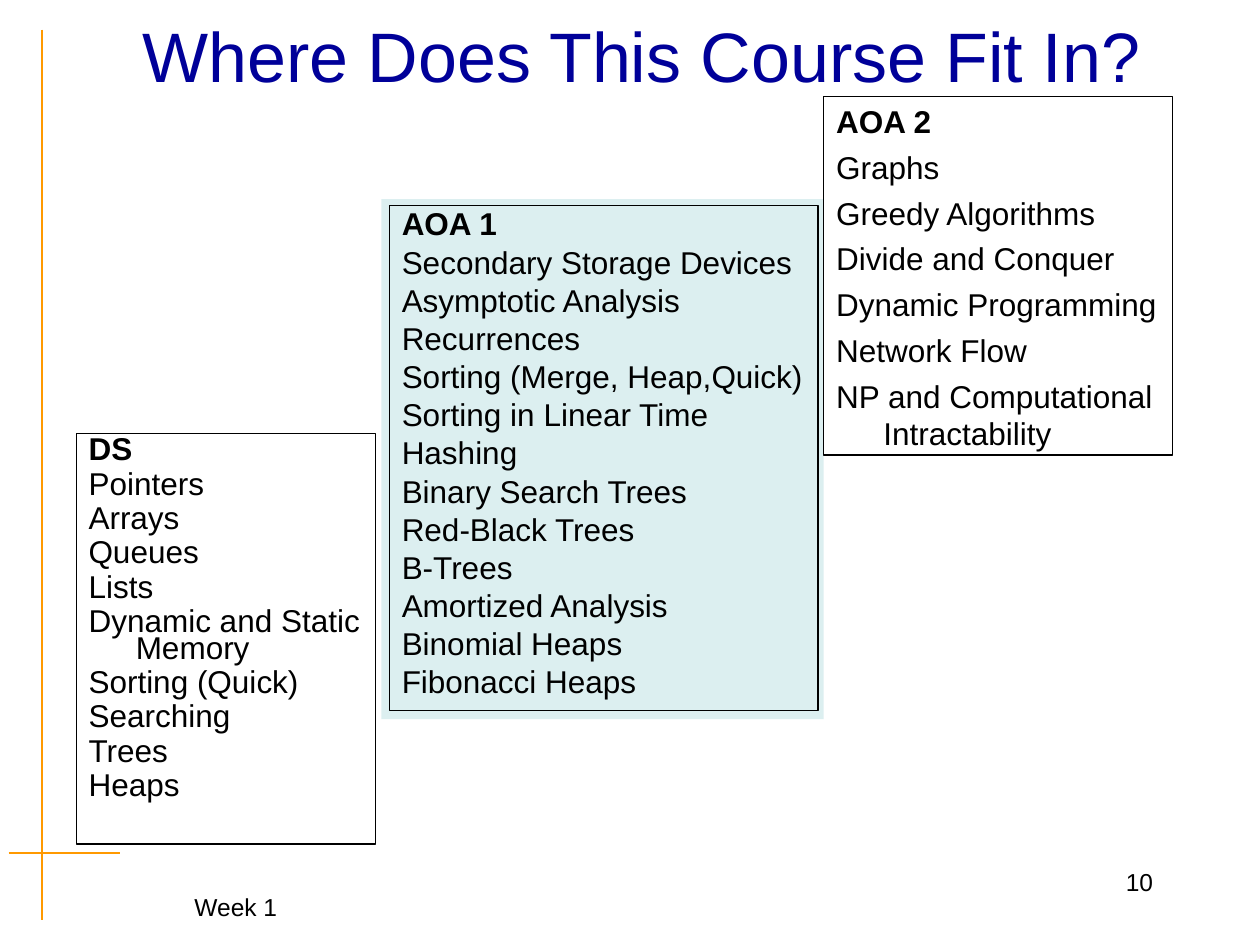
import pptx
import pptx.util
import pptx.dml.color
import pptx.enum.shapes
import pptx.enum.text
import pptx.oxml.ns
import lxml.etree

Pt = pptx.util.Pt
ALIGN = pptx.enum.text.PP_ALIGN
RECTANGLE = pptx.enum.shapes.MSO_SHAPE.RECTANGLE


def color(value):
    return pptx.dml.color.RGBColor.from_string(value)


def style(paragraph, size, value="000000", bold=False):
    paragraph.font.name = "Arial"
    paragraph.font.size = Pt(size)
    paragraph.font.bold = bold
    paragraph.font.color.rgb = color(value)


deck = pptx.Presentation()
deck.slide_width = Pt(720)
deck.slide_height = Pt(540)
slide = deck.slides.add_slide(deck.slide_layouts[5])

for x1, y1, x2, y2 in [(24, 17, 24, 525.5), (5, 487.5, 68.5, 487.5)]:
    rule = slide.shapes.add_connector(
        pptx.enum.shapes.MSO_CONNECTOR.STRAIGHT, Pt(x1), Pt(y1), Pt(x2), Pt(y2))
    rule.line.color.rgb = color("FF9900")
    rule.line.width = Pt(1.19)
    lxml.etree.SubElement(rule._element.spPr, pptx.oxml.ns.qn("a:effectLst"))

title = slide.shapes.title
title.left, title.top, title.width, title.height = Pt(60.5), Pt(-13.7), Pt(612), Pt(90)
title.text_frame.text = "Where Does This Course Fit In?"
title.text_frame.auto_size = pptx.enum.text.MSO_AUTO_SIZE.NONE
title.text_frame.vertical_anchor = pptx.enum.text.MSO_ANCHOR.MIDDLE
title.text_frame.paragraphs[0].alignment = ALIGN.CENTER
style(title.text_frame.paragraphs[0], 40, "000099")

highlight = slide.shapes.add_shape(RECTANGLE, Pt(218), Pt(113.75), Pt(252.75), Pt(297.25))
highlight.shadow.inherit = False
highlight.line.fill.background()
highlight.fill.solid()
highlight.fill.fore_color.rgb = color("BBE0E3")
tint = highlight._element.spPr.find(".//" + pptx.oxml.ns.qn("a:srgbClr"))
lxml.etree.SubElement(tint, pptx.oxml.ns.qn("a:alpha"), val="50000")

courses = [
    (43.5, 247.75, 171, 234.5, 0.7, [
        "DS", "Pointers", "Arrays", "Queues", "Lists",
        "Dynamic and Static Memory", "Sorting (Quick)", "Searching",
        "Trees", "Heaps"]),
    (222.5, 117.5, 245, 288.75, 0.8, [
        "AOA 1", "Secondary Storage Devices", "Asymptotic Analysis",
        "Recurrences", "Sorting (Merge, Heap,Quick)",
        "Sorting in Linear Time", "Hashing", "Binary Search Trees",
        "Red-Black Trees", "B-Trees", "Amortized Analysis",
        "Binomial Heaps", "Fibonacci Heaps"]),
    (470.75, 55, 199.5, 205, 1.0, [
        "AOA 2", "Graphs", "Greedy Algorithms", "Divide and Conquer",
        "Dynamic Programming", "Network Flow",
        "NP and Computational Intractability"]),
]
for left, top, width, height, spacing, topics in courses:
    course = slide.shapes.add_shape(RECTANGLE, Pt(left), Pt(top), Pt(width), Pt(height))
    course.shadow.inherit = False
    course.fill.background()
    course.line.color.rgb = color("000000")
    course.line.width = Pt(0.75)
    frame = course.text_frame
    frame.word_wrap = True
    frame.vertical_anchor = pptx.enum.text.MSO_ANCHOR.TOP
    frame.text = "\n".join(topics)
    for index, topic in enumerate(frame.paragraphs):
        topic.alignment = ALIGN.LEFT
        topic.line_spacing = spacing
        topic.space_before = Pt(4.5 if index else 0)
        margins = topic._p.get_or_add_pPr()
        margins.set("marL", str(Pt(27)))
        margins.set("indent", str(Pt(-27)))
        style(topic, 18, bold=index == 0)

footers = [
    ("Week 1", 63.5, 506, 142.5, 24.5, ALIGN.CENTER),
    ("10", 516, 491.75, 150, 36, ALIGN.RIGHT),
]
for text, left, top, width, height, alignment in footers:
    footer = slide.shapes.add_textbox(Pt(left), Pt(top), Pt(width), Pt(height))
    footer.text_frame.word_wrap = True
    footer.text_frame.text = text
    footer.text_frame.paragraphs[0].alignment = alignment
    style(footer.text_frame.paragraphs[0], 14)

deck.save("out.pptx")
